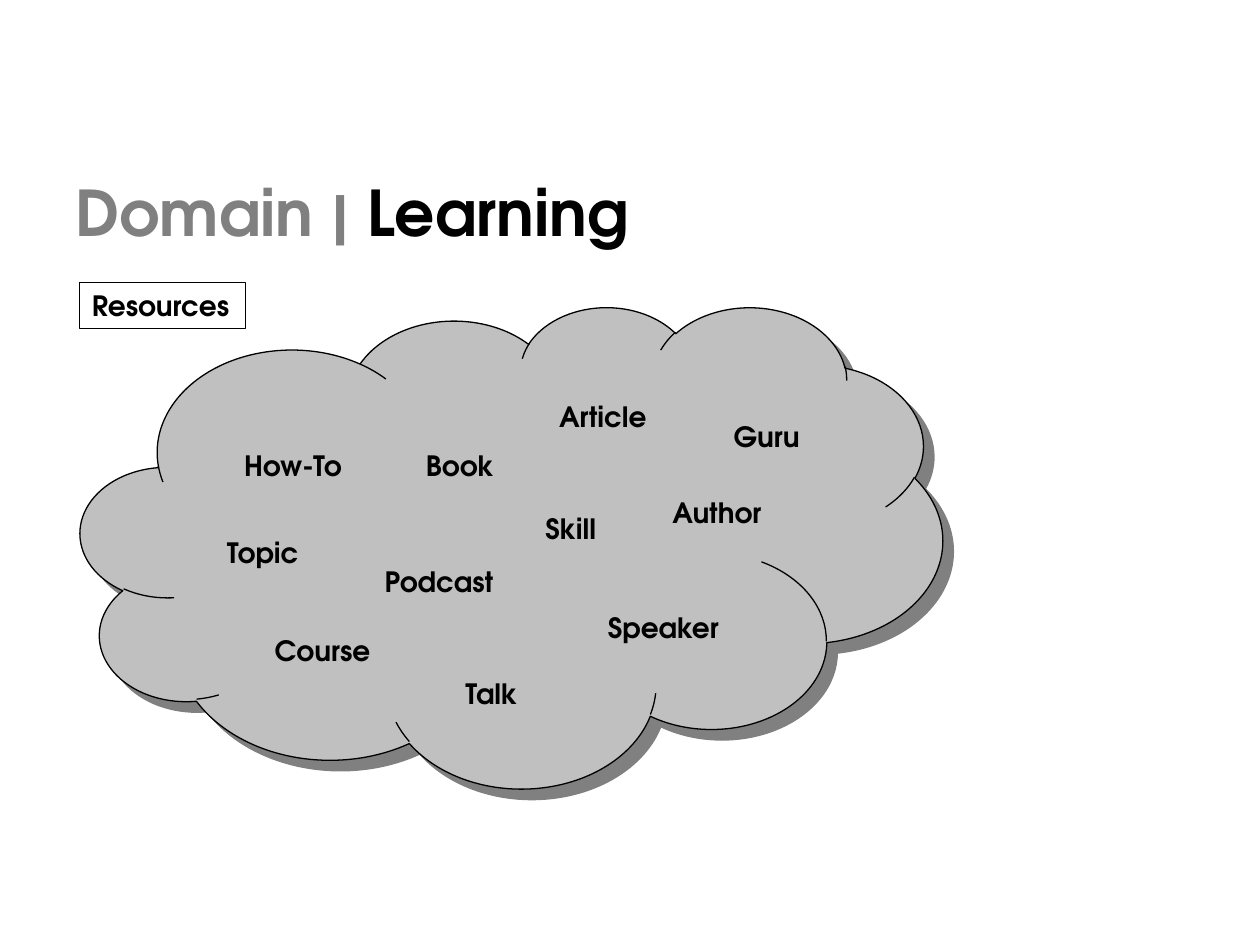
from dataclasses import dataclass

from lxml import etree
from pptx import Presentation
from pptx import util as u
from pptx.dml.color import RGBColor
from pptx.enum import shapes, text
from pptx.oxml.ns import qn


@dataclass(frozen=True)
class Theme:
    font: str = "TeX Gyre Adventor"
    ink: str = "000000"
    muted: str = "808080"
    cloud: str = "C0C0C0"
    title_size: int = 36
    label_size: int = 16
    line_width: float = 0.75
    shadow_distance: float = 8.5


THEME = Theme()
SLIDE_WIDTH, SLIDE_HEIGHT = u.Inches(10), u.Inches(7.5)
LABEL_HEIGHT = 4.93

# Word, left, top and width, in percent of the slide
WORDS = [
    ("Book", 32.7, 46.8, 7.6),
    ("Podcast", 29.5, 59.07, 10.7),
    ("Talk", 35.7, 70.93, 6.6),
    ("Article", 43.2, 41.6, 9.3),
    ("Guru", 57.1, 43.73, 7.5),
    ("Author", 52, 51.73, 9.8),
    ("Speaker", 47.2, 64, 10.9),
    ("Course", 20.8, 66.4, 9.6),
    ("How-To", 18.1, 46.8, 10.3),
    ("Topic", 16.9, 56, 7.9),
    ("Skill", 42, 53.47, 6.6),
]


def color(value):
    return RGBColor.from_string(value)


def area(left, top, width, height):
    """Turn percentages of the slide into lengths."""
    return (int(SLIDE_WIDTH * left / 100), int(SLIDE_HEIGHT * top / 100),
            int(SLIDE_WIDTH * width / 100), int(SLIDE_HEIGHT * height / 100))


def style_font(font, size, value):
    font.name = THEME.font
    font.size = u.Pt(size)
    font.bold = True
    font.color.rgb = color(value)


def outline(shape):
    shape.line.color.rgb = color(THEME.ink)
    shape.line.width = u.Pt(THEME.line_width)


def add_title(slide, parts):
    title = slide.shapes.title
    title.left, title.top, title.width, title.height = area(5, 17.73, 90, 65.6)
    frame = title.text_frame
    frame.vertical_anchor = text.MSO_ANCHOR.TOP
    frame.auto_size = text.MSO_AUTO_SIZE.NONE
    paragraph = frame.paragraphs[0]
    paragraph.alignment = text.PP_ALIGN.LEFT
    for words, value in parts:
        run = paragraph.add_run()
        run.text = words
        style_font(run.font, THEME.title_size, value)


def add_hard_shadow(shape):
    """Offset a solid shadow down and to the right."""
    shape.shadow.inherit = False
    effects = shape._element.spPr.find(qn("a:effectLst"))
    shadow = etree.SubElement(
        effects, qn("a:outerShdw"), blurRad="0",
        dist=str(int(u.Pt(THEME.shadow_distance))), dir="2700000",
        algn="ctr", rotWithShape="0")
    etree.SubElement(shadow, qn("a:srgbClr"), val=THEME.muted)


def add_cloud(slide):
    cloud = slide.shapes.add_shape(
        shapes.MSO_SHAPE.CLOUD, *area(6.4, 32.4, 68.4, 50.93))
    cloud.fill.solid()
    cloud.fill.fore_color.rgb = color(THEME.cloud)
    outline(cloud)
    add_hard_shadow(cloud)


def add_label(slide, word, left, top, width, alignment=text.PP_ALIGN.CENTER):
    label = slide.shapes.add_textbox(*area(left, top, width, LABEL_HEIGHT))
    frame = label.text_frame
    frame.word_wrap = False
    frame.auto_size = text.MSO_AUTO_SIZE.SHAPE_TO_FIT_TEXT
    paragraph = frame.paragraphs[0]
    paragraph.text = word
    paragraph.alignment = alignment
    style_font(paragraph.font, THEME.label_size, THEME.ink)
    return label


def main():
    presentation = Presentation()
    presentation.slide_width = SLIDE_WIDTH
    presentation.slide_height = SLIDE_HEIGHT
    title_only = presentation.slide_layouts[5]
    slide = presentation.slides.add_slide(title_only)

    add_title(slide, [("Domain |", THEME.muted), (" Learning", THEME.ink)])
    add_cloud(slide)

    # Framed heading, then the words in the cloud
    heading = add_label(slide, "Resources", 6.3, 29.87, 13.2, text.PP_ALIGN.LEFT)
    outline(heading)
    for word in WORDS:
        add_label(slide, *word)

    presentation.save("out.pptx")


if __name__ == "__main__":
    main()
